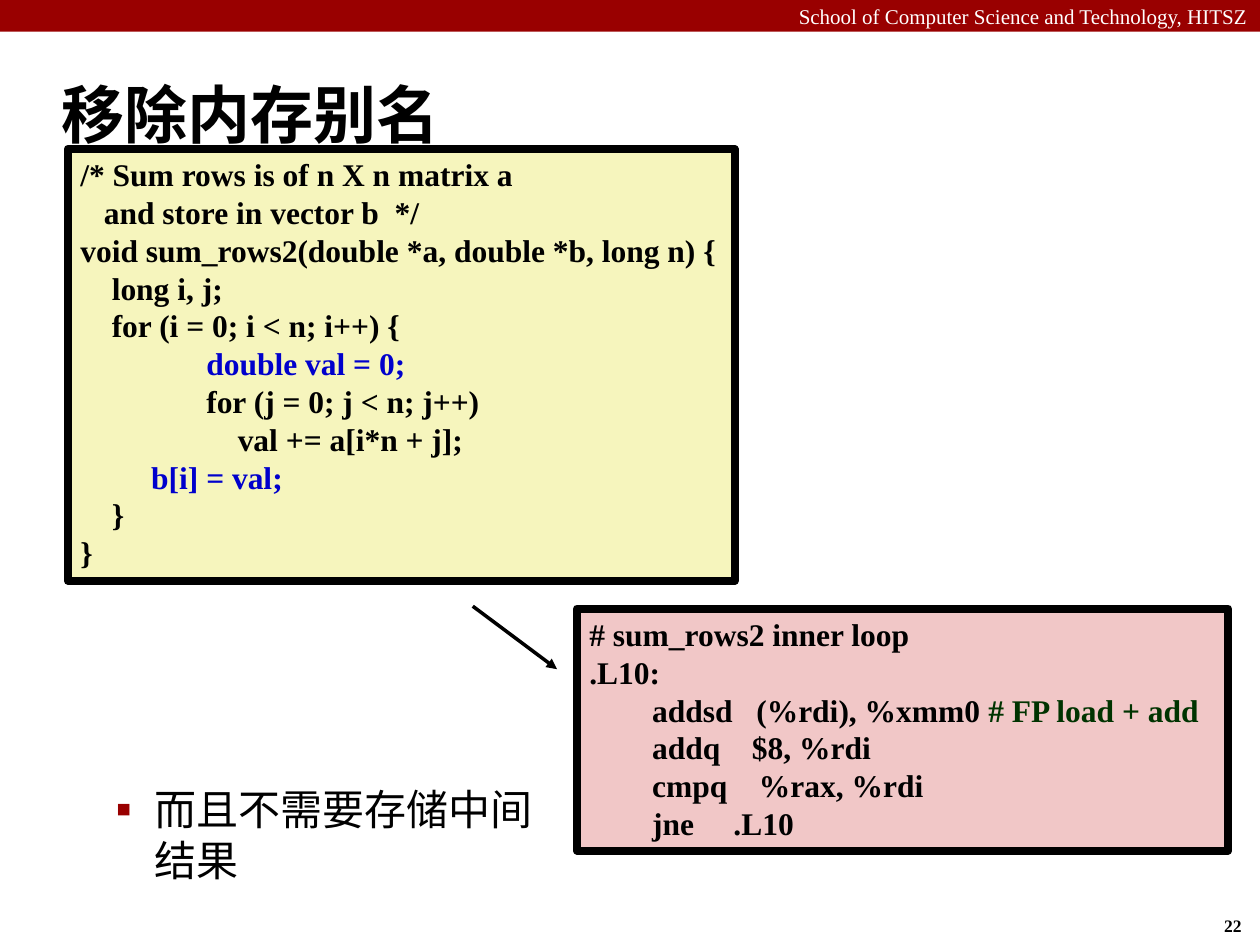
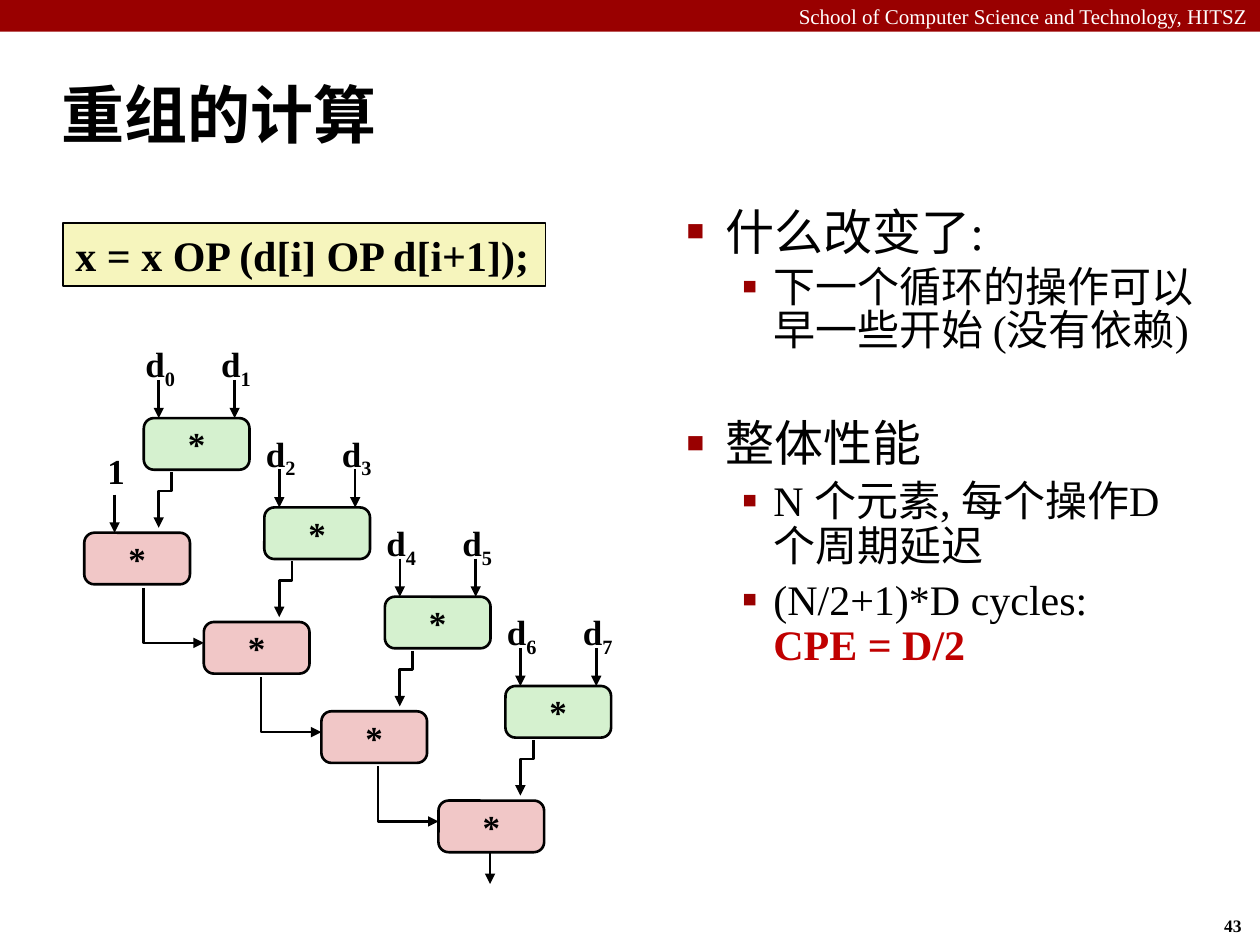
from pptx import Presentation, util as u
from pptx.dml.color import RGBColor
from pptx.enum import shapes, text
from pptx.oxml import ns
from lxml import etree

COLORS = {
    "band": "990000", "white": "FFFFFF", "black": "000000", "yellow": "F6F5BD",
    "pink": "F1C7C7", "green": "D5F1CF", "blue": "0000CC", "comment": "003300",
    "result": "C00000",
}
SERIF = "Times New Roman"
SCHOOL = "School of Computer Science and Technology, HITSZ"

# A line is a list of (text, color) pieces.
C_CODE = [
    [("/* Sum rows is of n X n matrix a", "black")],
    [("   and store in vector b  */", "black")],
    [("void sum_rows2(double *a, double *b, long n) {", "black")],
    [("    long i, j;", "black")],
    [("    for (i = 0; i < n; i++) {", "black")],
    [("\t", "black"), ("double val = 0;", "blue")],
    [("\tfor (j = 0; j < n; j++)", "black")],
    [("\t    val += a[i*n + j];", "black")],
    [("         ", "black"), ("b[i] = val;", "blue")],
    [("    }", "black")],
    [("}", "black")],
]
ASSEMBLY = [
    [("# sum_rows2 inner loop", "black")],
    [(".L10:", "black")],
    [("        addsd   (%rdi), %xmm0 ", "black"), ("# FP load + add", "comment")],
    [("        addq    $8, %rdi", "black")],
    [("        cmpq    %rax, %rdi", "black")],
    [("        jne     .L10", "black")],
]
EXPRESSION = [[("x = x OP (d[i] OP d[i+1]);", "black")]]

# Bullet styles: level, left margin and hanging indent in cm, mark, mark size, text size
TOPIC = {"level": 0, "margin": 0.79, "hang": 0.79, "mark": "■", "percent": 60, "size": 28}
DETAIL = {"level": 1, "margin": 1.75, "hang": 0.64, "mark": "▪", "percent": 110, "size": 24}
REMARK = {**DETAIL, "margin": 2.06, "hang": 0.79}

# Bullets: style, text, bold ending on its own line, line spacing, space before in points
ALIAS_BULLETS = [(REMARK, "而且不需要存储中间结果", None, 1.0, 0)]
REGROUP_BULLETS = [
    (TOPIC, "什么改变了:", None, 0.85, 0),
    (DETAIL, "下一个循环的操作可以早一些开始 (没有依赖)", None, 0.85, 4.8),
    (TOPIC, "整体性能", None, 0.85, 38.5),
    (DETAIL, "N 个元素, 每个操作D 个周期延迟", None, 0.9, 4.8),
    (DETAIL, "(N/2+1)*D cycles:", "CPE = D/2", 0.9, 4.8),
]

# Tree of operations, in cm
NODE_WIDTH, NODE_HEIGHT = 2.13, 1.04
PAIR_LEFT, PAIR_TOP, PAIR_STEP, ROW_STEP = 2.9, 8.43, 2.43, 1.8
CHAIN_LEFTS, CHAIN_TOP = [1.7, 4.11, 6.48, 8.84], 10.74
INPUT_OFFSETS = (0.3, 1.83)
INPUT_LENGTH = 0.77


def rgb(name):
    return RGBColor.from_string(COLORS[name])


def apply_format(target, **values):
    for name, value in values.items():
        setattr(target, name, value)


def add_run(paragraph, content, size, color="black", bold=False, font=SERIF):
    run = paragraph.add_run()
    run.text = content
    apply_format(run.font, name=font, size=u.Pt(size), bold=bold)
    run.font.color.rgb = rgb(color)
    return run


def set_frame(frame, wrap=True, anchor=text.MSO_ANCHOR.TOP, side=0.25, edge=0.13):
    apply_format(frame, word_wrap=wrap, vertical_anchor=anchor,
                 auto_size=text.MSO_AUTO_SIZE.NONE,
                 margin_left=u.Cm(side), margin_right=u.Cm(side),
                 margin_top=u.Cm(edge), margin_bottom=u.Cm(edge))
    return frame


def place(shape, left, top, width, height):
    apply_format(shape, left=u.Cm(left), top=u.Cm(top),
                 width=u.Cm(width), height=u.Cm(height))


def add_box(slide, box, fill, line_width=0.0, kind=shapes.MSO_SHAPE.RECTANGLE):
    shape = slide.shapes.add_shape(kind, *map(u.Cm, box))
    shape.shadow.inherit = False
    shape.fill.solid()
    shape.fill.fore_color.rgb = rgb(fill)
    if line_width:
        shape.line.color.rgb = rgb("black")
        shape.line.width = u.Pt(line_width)
    else:
        shape.line.fill.background()
    return shape


def style_arrow(shape, width):
    shape.line.color.rgb = rgb("black")
    shape.line.width = u.Pt(width)
    line = shape.element.find(ns.qn("p:spPr")).find(ns.qn("a:ln"))
    etree.SubElement(line, ns.qn("a:tailEnd"), type="triangle")


def add_arrow(slide, start, end, width=1.5):
    points = map(u.Cm, (*start, *end))
    arrow = slide.shapes.add_connector(shapes.MSO_CONNECTOR.STRAIGHT, *points)
    style_arrow(arrow, width)
    properties = arrow.element.find(ns.qn("p:spPr"))
    etree.SubElement(properties, ns.qn("a:effectLst"))


def add_bent_arrow(slide, points):
    start, *others = [(u.Cm(x), u.Cm(y)) for x, y in points]
    builder = slide.shapes.build_freeform(*start)
    builder.add_line_segments(others, close=False)
    arrow = builder.convert_to_shape()
    arrow.shadow.inherit = False
    arrow.fill.background()
    style_arrow(arrow, 1.5)


def add_code(slide, box, lines, fill, line_width, size, wrap=False):
    frame = set_frame(add_box(slide, box, fill, line_width).text_frame, wrap)
    for index, pieces in enumerate(lines):
        paragraph = frame.paragraphs[0] if index == 0 else frame.add_paragraph()
        paragraph.alignment = text.PP_ALIGN.LEFT
        if pieces[0][0].startswith("\t"):
            properties = paragraph._p.get_or_add_pPr()
            tabs = etree.SubElement(properties, ns.qn("a:tabLst"))
            etree.SubElement(tabs, ns.qn("a:tab"), pos=str(u.Cm(2.54)), algn="l")
        for content, color in pieces:
            add_run(paragraph, content, size, color, bold=True)


def add_bullet(paragraph, style):
    properties = paragraph._p.get_or_add_pPr()
    properties.set("marL", str(u.Cm(style["margin"])))
    properties.set("indent", str(-u.Cm(style["hang"])))
    color = etree.SubElement(properties, ns.qn("a:buClr"))
    etree.SubElement(color, ns.qn("a:srgbClr"), val=COLORS["band"])
    etree.SubElement(properties, ns.qn("a:buSzPct"), val=str(style["percent"] * 1000))
    etree.SubElement(properties, ns.qn("a:buFont"), typeface=SERIF)
    etree.SubElement(properties, ns.qn("a:buChar"), char=style["mark"])


def fill_body(slide, box, bullets):
    body = slide.placeholders[1]
    place(body, *box)
    frame = set_frame(body.text_frame)
    for index, (style, content, ending, spacing, before) in enumerate(bullets):
        paragraph = frame.paragraphs[0] if index == 0 else frame.add_paragraph()
        add_bullet(paragraph, style)
        apply_format(paragraph, level=style["level"], line_spacing=spacing,
                     space_before=u.Pt(before), alignment=text.PP_ALIGN.LEFT)
        add_run(paragraph, content, style["size"])
        if ending:
            paragraph.add_line_break()
            add_run(paragraph, ending, style["size"], "result", bold=True)


def add_slide(presentation, title, number):
    """Add a slide with the school band, title and page number."""
    slide = presentation.slides.add_slide(presentation.slide_layouts[1])
    band = add_box(slide, (0, 0, 25.4, 0.64), "band")
    frame = set_frame(band.text_frame, anchor=text.MSO_ANCHOR.MIDDLE, edge=0)
    frame.paragraphs[0].alignment = text.PP_ALIGN.RIGHT
    add_run(frame.paragraphs[0], SCHOOL, 12, "white")

    page = slide.shapes.add_textbox(*map(u.Cm, (24.43, 18.31, 0.94, 0.69)))
    frame = set_frame(page.text_frame, wrap=False)
    add_run(frame.paragraphs[0], number, 10, bold=True)

    place(slide.shapes.title, 0.99, 1.22, 24.4, 2.11)
    frame = set_frame(slide.shapes.title.text_frame, anchor=text.MSO_ANCHOR.MIDDLE)
    frame.paragraphs[0].alignment = text.PP_ALIGN.LEFT
    add_run(frame.paragraphs[0], title, 36, bold=True, font="Calibri")
    return slide


def add_operation(slide, left, top, fill):
    node = add_box(slide, (left, top, NODE_WIDTH, NODE_HEIGHT), fill, 1.5,
                   shapes.MSO_SHAPE.ROUNDED_RECTANGLE)
    node.adjustments[0] = 0.196
    frame = set_frame(node.text_frame, False, text.MSO_ANCHOR.MIDDLE)
    frame.paragraphs[0].alignment = text.PP_ALIGN.CENTER
    add_run(frame.paragraphs[0], "*", 20, bold=True)


def add_input(slide, x, node_top, label, subscript="", rise=1.65):
    """Add an operand label and its arrow down to the top of a node."""
    width = 1.27
    box = slide.shapes.add_textbox(*map(u.Cm, (x + 0.03 - width / 2, node_top - rise,
                                               width, 1.12)))
    frame = set_frame(box.text_frame, side=0.13)
    paragraph = frame.paragraphs[0]
    paragraph.alignment = text.PP_ALIGN.CENTER
    add_run(paragraph, label, 20, bold=True)
    if subscript:
        run = add_run(paragraph, subscript, 20, bold=True)
        run._r.get_or_add_rPr().set("baseline", "-25000")
    add_arrow(slide, (x, node_top - INPUT_LENGTH), (x, node_top))


def add_operation_tree(slide):
    for index, chain_left in enumerate(CHAIN_LEFTS):
        left = PAIR_LEFT + index * PAIR_STEP
        top = PAIR_TOP + index * ROW_STEP
        chain_top = CHAIN_TOP + index * ROW_STEP
        add_operation(slide, chain_left, chain_top, "pink")
        add_operation(slide, left, top, "green")
        for side, offset in enumerate(INPUT_OFFSETS):
            add_input(slide, left + offset, top, "d", str(2 * index + side))
        start, end = left + 0.56, left + 0.3
        add_bent_arrow(slide, [(start, top + 1.09), (start, top + 1.47),
                               (end, top + 1.47), (end, top + 2.21)])
        if index == 0:
            add_input(slide, chain_left + 0.61, chain_top, "1", rise=1.8)
        else:
            start, end = chain_left - 1.22, chain_top + 0.42
            add_bent_arrow(slide, [(start, chain_top - 0.69), (start, end),
                                   (chain_left, end)])
    x = CHAIN_LEFTS[-1] + 1.04
    add_arrow(slide, (x, chain_top + NODE_HEIGHT), (x, chain_top + 1.68))


def main():
    presentation = Presentation()
    apply_format(presentation, slide_width=u.Cm(25.4), slide_height=u.Cm(19.05))

    slide = add_slide(presentation, "移除内存别名", "22")
    fill_body(slide, (0.81, 15.67, 10.41, 2.24), ALIAS_BULLETS)
    add_code(slide, (11.63, 12.27, 13.13, 4.88), ASSEMBLY, "pink", 4.5, 18, wrap=True)
    add_arrow(slide, (9.53, 12.22), (11.23, 13.49), 2)
    add_code(slide, (1.37, 3.0, 13.44, 8.71), C_CODE, "yellow", 4.5, 18)

    slide = add_slide(presentation, "重组的计算", "43")
    fill_body(slide, (13.59, 4.11, 10.97, 14.5), REGROUP_BULLETS)
    add_operation_tree(slide)
    add_code(slide, (1.27, 4.5, 9.73, 1.27), EXPRESSION, "yellow", 1, 24)

    presentation.save("out.pptx")


if __name__ == "__main__":
    main()
